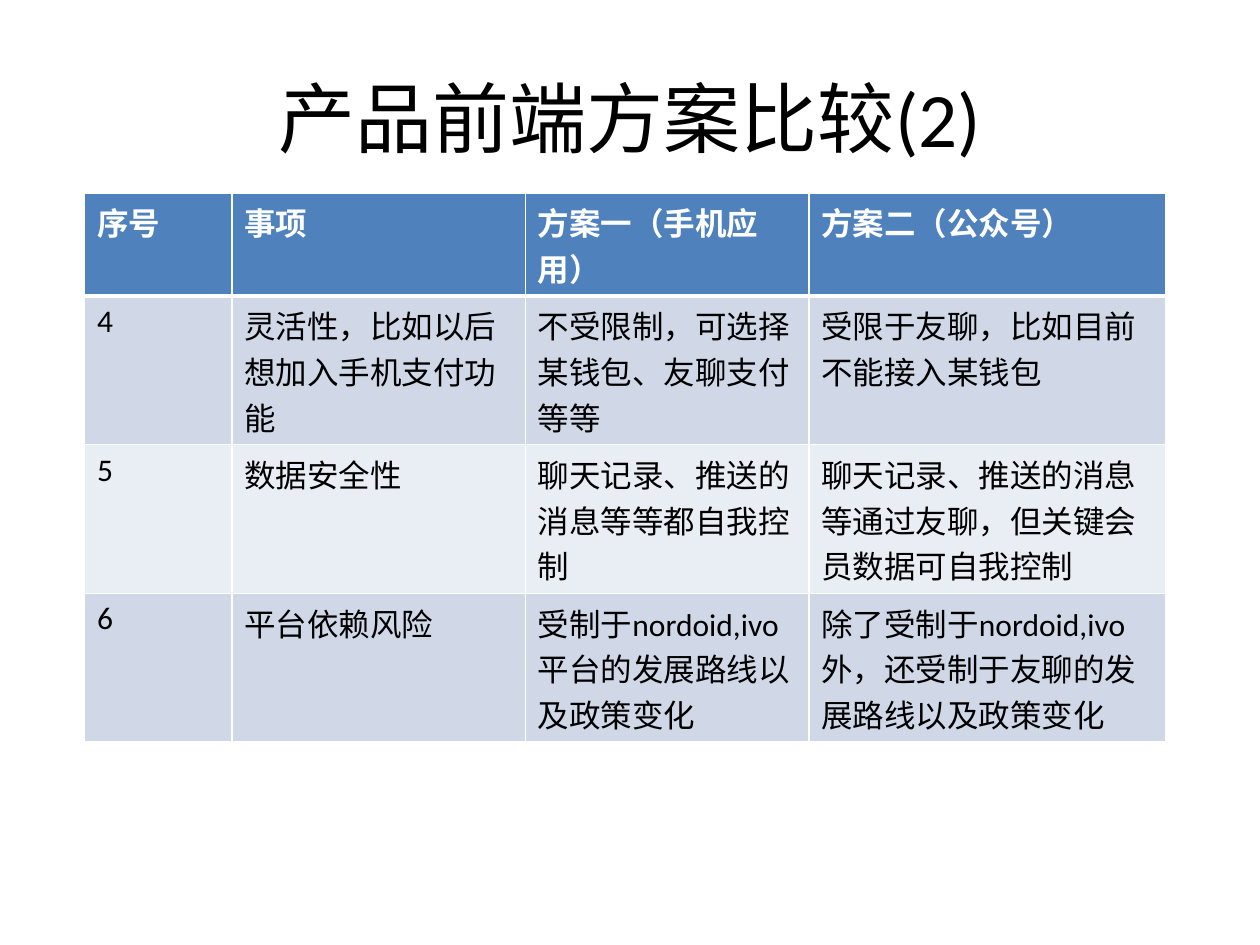
"""Build a slide that compares two front-end plans in a table."""
from dataclasses import dataclass

from lxml.etree import SubElement as Sub
from pptx import Presentation
from pptx.dml.color import RGBColor as Rgb
from pptx.enum.text import MSO_ANCHOR as Anchor, PP_ALIGN as Align
from pptx.oxml.ns import qn
from pptx.util import Inches, Pt

TITLE = "产品前端方案比较(2)"
ROWS = [
    ("序号", "事项", "方案一（手机应用）", "方案二（公众号）"),
    ("4", "灵活性，比如以后想加入手机支付功能",
     "不受限制，可选择某钱包、友聊支付等等", "受限于友聊，比如目前不能接入某钱包"),
    ("5", "数据安全性", "聊天记录、推送的消息等等都自我控制",
     "聊天记录、推送的消息等通过友聊，但关键会员数据可自我控制"),
    ("6", "平台依赖风险", "受制于nordoid,ivo平台的发展路线以及政策变化",
     "除了受制于nordoid,ivo外，还受制于友聊的发展路线以及政策变化"),
]
WIDE, HIGH = 10, 7.5
COLS = (1.17, 2.33, 2.25, 2.83)
TALL = (0.82,) + (1.18,) * (len(ROWS) - 1)
LEFT, TOP = 0.67, 1.53


@dataclass(frozen=True)
class Theme:
    font: str = "Calibri"
    big: int = 44
    body: int = 18
    ink: str = "000000"
    line: str = "FFFFFF"
    head: str = "4F81BD"
    bands: tuple = ("D0D8E8", "E9EDF4")
    thin: int = 1
    thick: int = 3


LOOK = Theme()


def style(para, size, color, bold=False):
    font = para.font
    font.name, font.size, font.bold = LOOK.font, Pt(size), bold
    font.color.rgb = Rgb.from_string(color)


def edge(cell, side, width):
    line = Sub(cell._tc.get_or_add_tcPr(), qn(f"a:ln{side}"), w=str(Pt(width)))
    Sub(Sub(line, qn("a:solidFill")), qn("a:srgbClr"), val=LOOK.line)


def add_title(slide):
    box = slide.shapes.add_textbox(
        Inches(WIDE * 0.05), Inches(HIGH * 0.04),
        Inches(WIDE * 0.9), Inches(HIGH / 6))
    frame = box.text_frame
    frame.word_wrap = True
    frame.vertical_anchor = Anchor.MIDDLE
    para = frame.paragraphs[0]
    para.text, para.alignment = TITLE, Align.CENTER
    style(para, LOOK.big, LOOK.ink)


def add_grid(slide):
    grid = slide.shapes.add_table(
        len(ROWS), len(COLS), Inches(LEFT), Inches(TOP),
        Inches(sum(COLS)), Inches(sum(TALL))).table
    for col, width in zip(grid.columns, COLS):
        col.width = Inches(width)
    for line, height in zip(grid.rows, TALL):
        line.height = Inches(height)
    for r, row in enumerate(ROWS):
        head = r == 0
        fill = LOOK.head if head else LOOK.bands[(r - 1) % 2]
        for c, text in enumerate(row):
            cell = grid.cell(r, c)
            cell.text = text
            style(cell.text_frame.paragraphs[0], LOOK.body,
                  LOOK.line if head else LOOK.ink, head)
            for side in "LRTB":
                heavy = (r, side) in ((0, "B"), (1, "T"))
                edge(cell, side, LOOK.thick if heavy else LOOK.thin)
            cell.fill.solid()
            cell.fill.fore_color.rgb = Rgb.from_string(fill)


def main():
    deck = Presentation()
    deck.slide_width, deck.slide_height = Inches(WIDE), Inches(HIGH)
    slide = deck.slides.add_slide(deck.slide_layouts[6])
    add_title(slide)
    add_grid(slide)
    deck.save("out.pptx")


if __name__ == "__main__":
    main()
